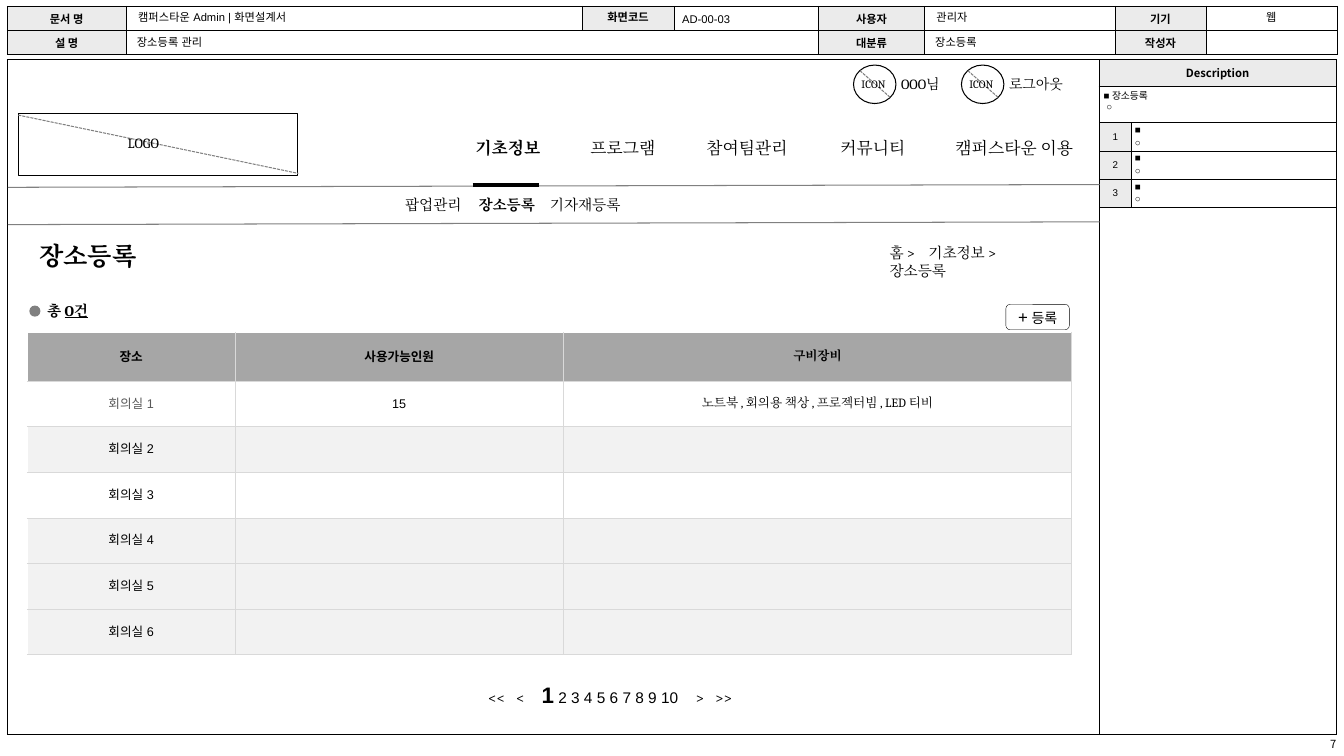
from dataclasses import dataclass
from typing import NamedTuple

from lxml import etree
from pptx import Presentation
from pptx import util as u
from pptx.dml import color as col
from pptx.enum import dml, shapes, text as te
from pptx.oxml import ns


@dataclass(frozen=True)
class Theme:
    black: str = "000000"
    gray: str = "808080"
    white: str = "FFFFFF"
    label: str = "EBEBEB"
    head: str = "A6A6A6"
    band: str = "F2F2F2"
    rule: str = "D9D9D9"
    dim: str = "595959"
    sans: str = "Arial"
    serif: str = "Cambria"
    korean: str = "Noto Sans CJK KR"
    note: float = 7
    small: float = 8
    cell: float = 9
    body: float = 10
    sub: float = 10.5
    page: float = 11
    menu: float = 12
    big: float = 16
    title: float = 18


class Box(NamedTuple):
    x: float
    y: float
    w: float
    h: float


class Label(NamedTuple):
    text: str
    box: Box
    size: float
    font: str = "Cambria"
    bold: bool = False


class Line(NamedTuple):
    x1: float
    y1: float
    x2: float
    y2: float
    color: str = "808080"
    width: float = 0.75
    dash: bool = False


T = Theme()
LEFT, MID, RIGHT = te.PP_ALIGN.LEFT, te.PP_ALIGN.CENTER, te.PP_ALIGN.RIGHT
PAD = (0.25, 0.13, 0.25, 0.13)
EVEN = (0.1, 0.1, 0.1, 0.1)
THIN = (0.03, 0.03, 0.03, 0.03)

prs = Presentation()
prs.slide_width, prs.slide_height = u.Cm(33.87), u.Cm(19.05)
slide = prs.slides.add_slide(prs.slide_layouts[6])


def rgb(code: str) -> col.RGBColor:
    return col.RGBColor.from_string(code)


def write(frame, text: str, *, size: float, font: str = T.serif, bold: bool = False,
          color: str = T.black, under: bool = False, align=LEFT, gap: float = 0,
          tabs: tuple = (), more: bool = False) -> None:
    """Write one paragraph per line; with more, extend the last paragraph."""
    for i, part in enumerate(text.split("\n")):
        para = frame.add_paragraph() if i else frame.paragraphs[-1]
        if not more:
            para.alignment = align
        if i and gap:
            para.space_before = u.Pt(gap)
        if tabs:
            stops = etree.SubElement(para._p.get_or_add_pPr(), ns.qn("a:tabLst"))
            for pos in tabs:
                etree.SubElement(stops, ns.qn("a:tab"), pos=str(u.Cm(pos)), algn="l")
        if not part:
            etree.SubElement(para._p, ns.qn("a:endParaRPr"), sz=str(int(size * 100)))
            continue
        for j, piece in enumerate(part.split("\v")):
            if j:
                para.add_line_break()
            run = para.add_run()
            run.text = piece
            face = run.font
            face.size, face.name, face.bold = u.Pt(size), font, bold
            face.underline = under or None
            face.color.rgb = rgb(color)
            etree.SubElement(run._r.get_or_add_rPr(), ns.qn("a:ea"), typeface=font)


def inset(item, pads: tuple) -> None:
    (item.margin_left, item.margin_top,
     item.margin_right, item.margin_bottom) = map(u.Cm, pads)


def area(box: Box, pads: tuple = PAD):
    frame = slide.shapes.add_textbox(*map(u.Cm, box)).text_frame
    frame.word_wrap = True
    inset(frame, pads)
    return frame


def label(item: Label) -> None:
    write(area(item.box), item.text, size=item.size, font=item.font, bold=item.bold)


def line(item: Line) -> None:
    ends = map(u.Cm, item[:4])
    link = slide.shapes.add_connector(shapes.MSO_CONNECTOR.STRAIGHT, *ends)
    link.line.color.rgb, link.line.width = rgb(item.color), u.Pt(item.width)
    if item.dash:
        link.line.dash_style = dml.MSO_LINE.SQUARE_DOT
    etree.SubElement(link._element.spPr, ns.qn("a:effectLst"))


def shape(kind, box: Box, fill: str = "", edge: float = 0):
    item = slide.shapes.add_shape(kind, *map(u.Cm, box))
    item.shadow.inherit = False
    for paint, code in ((item.fill, fill), (item.line.fill, T.black if edge else "")):
        if code:
            paint.solid()
            paint.fore_color.rgb = rgb(code)
        else:
            paint.background()
    if edge:
        item.line.width = u.Pt(edge)
    return item


def grid(x: float, y: float, cols: list, rows: list):
    box = map(u.Cm, (x, y, sum(cols), sum(rows)))
    table = slide.shapes.add_table(len(rows), len(cols), *box).table
    table.first_row = table.horz_banding = False
    for part, size in [*zip(table.columns, cols)]:
        part.width = u.Cm(size)
    for part, size in [*zip(table.rows, rows)]:
        part.height = u.Cm(size)
    return table


def cell(item, text: str = "", *, fill: str = T.white, edge: str = T.black,
         sides: str = "LRTB", pads: tuple = EVEN, top: bool = False, **fmt) -> None:
    props = item._tc.get_or_add_tcPr()
    for side in sides:
        rim = etree.SubElement(props, ns.qn("a:ln" + side), w=str(u.Pt(0.25)))
        paint = etree.SubElement(rim, ns.qn("a:solidFill"))
        etree.SubElement(paint, ns.qn("a:srgbClr"), val=edge)
    if fill:
        item.fill.solid()
        item.fill.fore_color.rgb = rgb(fill)
    else:
        item.fill.background()
    inset(item, pads)
    item.vertical_anchor = te.MSO_ANCHOR.TOP if top else te.MSO_ANCHOR.MIDDLE
    write(item.text_frame, text, **fmt)


# Page number
write(area(Box(27.69, 18.44, 5.99, 0.61), (0.25, 0.13, 0, 0.13)), "7",
      size=T.small, font=T.korean, align=RIGHT)

# Document header
info = grid(0.18, 0.15, [3, 11.48, 2.34, 3.63, 2.67, 4.8, 2.29, 3.3], [0.61] * 2)
HEADS = [["문서 명", "캠퍼스타운 Admin | 화면설계서", "화면코드", "", "사용자", "관리자", "기기", "웹"],
         ["설 명", "", "", "", "대분류", "", "작성자", ""]]
for r, names in enumerate(HEADS):
    for c, name in enumerate(names):
        key = c % 2 == 0 and name != ""
        cell(info.cell(r, c), name, fill=T.label if key else T.white, bold=key,
             pads=THIN if key or c == 7 else (0.3, 0.03, 0.03, 0.03), size=T.small,
             font=T.korean if key and name != "화면코드" else T.sans,
             align=MID if key or c == 7 else LEFT)
info.cell(1, 1).merge(info.cell(1, 3))

# Page frame with the description column
frame = grid(0.18, 1.5, [27.51, 5.99], [0.66, 16.33])
for r, names in enumerate([["", "Description"], ["", ""]]):
    for c, name in enumerate(names):
        cell(frame.cell(r, c), name, fill=T.label if name else T.white,
             size=T.small, font=T.korean, bold=True, align=MID)
frame.cell(0, 0).merge(frame.cell(1, 0))

# Description notes
notes = grid(27.71, 2.18, [0.79, 5.18], [0.91] + [0.71] * 3)
cell(notes.cell(0, 0), "■ 장소등록\n○", top=True, pads=(0.1, 0.1, 0.03, 0.03),
     size=T.note, font=T.sans)
notes.cell(0, 0).text_frame.paragraphs[1]._p.get_or_add_pPr().set("marL", str(u.Cm(0.07)))
cell(notes.cell(0, 1), size=T.note)
notes.cell(0, 0).merge(notes.cell(0, 1))
for r in range(1, 4):
    cell(notes.cell(r, 0), str(r), fill=T.label, pads=THIN, size=T.note,
         font=T.sans, align=MID)
    cell(notes.cell(r, 1), "■\n○", pads=(0.1, 0.03, 0.1, 0.03), size=T.note,
         font=T.sans, gap=1.4)

# Room table
rooms = grid(0.69, 8.38, [5.23, 8.28, 12.8], [1.22] + [1.15] * 6)
ROWS = [["장소", "사용가능인원", "구비장비"],
        ["회의실 1", "15", "노트북 , 회의용 책상 , 프로젝터빔 , LED 티비"]]
ROWS += [[f"회의실 {n}", "", ""] for n in range(2, 7)]
for r, names in enumerate(ROWS):
    fill = T.head if r == 0 else "" if r in (1, 3) else T.band
    for c, name in enumerate(names):
        cell(rooms.cell(r, c), name, fill=fill, edge=T.rule, pads=PAD,
             sides=("L" if c else "") + "R" + ("T" if r else "") + "B",
             size=T.cell, font=T.serif if c == 2 else T.sans, bold=r == 0,
             color=T.dim if (r, c) == (1, 0) else T.black, align=MID)

# Room count and register button
shape(shapes.MSO_SHAPE.FLOWCHART_CONNECTOR, Box(0.74, 7.7, 0.28, 0.28), fill=T.gray)
count = area(Box(0.94, 7.47, 2.01, 0.71))
write(count, "총 ", size=T.sub, bold=True)
write(count, "O건", size=T.sub, bold=True, under=True, more=True)
button = shape(shapes.MSO_SHAPE.ROUNDED_RECTANGLE, Box(25.35, 7.67, 1.6, 0.64), edge=0.25)
add = button.text_frame
inset(add, EVEN)
add.vertical_anchor = te.MSO_ANCHOR.MIDDLE
write(add, "+", size=T.menu, font=T.sans, align=MID)
write(add, " 등록", size=T.body, font=T.sans, more=True)

# Pager
pager = area(Box(11.51, 17.04, 7.75, 0.94), (0.79, 0.13, 0.25, 0.13))
write(pager, "<<\t<\t", size=T.page, tabs=(0.71, 1.35, 5.23, 5.72))
write(pager, "1", size=T.big, font=T.sans, bold=True, more=True)
write(pager, " 2 3 4 5 6 7 8 9 10\t", size=T.page, font=T.sans, more=True)
write(pager, ">\t>>", size=T.page, more=True)

# User icons and logo frame
for x, name in ((21.51, "OOO님"), (24.23, "로그아웃")):
    shape(shapes.MSO_SHAPE.OVAL, Box(x, 1.64, 1.07, 0.97), edge=0.75)
    line(Line(x + 0.16, 1.78, x + 0.92, 2.45, dash=True))
    label(Label("ICON", Box(x - 0.05, 1.83, 1.19, 0.61), T.small))
    label(Label(name, Box(x + 0.95, 1.78, 1.93, 0.69), T.body))
shape(shapes.MSO_SHAPE.RECTANGLE, Box(0.46, 2.87, 7.04, 1.55), edge=0.75)

# Diagonal of the logo frame and menu rules
for item in (Line(0.46, 2.9, 7.52, 4.37, dash=True), Line(0.2, 4.72, 27.71, 4.65),
             Line(11.91, 4.67, 13.59, 4.67, T.black, 3), Line(0.2, 5.66, 27.71, 5.59)):
    line(item)

# Header values, menus and title
LABELS = [Label("장소등록 관리", Box(3.2, 0.76, 17.35, 0.58), T.small, T.sans),
          Label("AD-00-03", Box(16.94, 0.18, 3.63, 0.58), T.small, T.sans),
          Label("장소등록", Box(23.32, 0.76, 1.65, 0.61), T.small, T.sans),
          Label("LOGO", Box(2.97, 3.25, 1.6, 0.69), T.body),
          Label("장소등록", Box(0.74, 5.92, 4.72, 1.02), T.title, bold=True)]
LABELS += [Label(name, Box(x, 4.8, w, 0.71), T.sub, bold=name == "장소등록") for name, x, w in
           (("팝업관리", 9.96, 2.08), ("장소등록", 11.81, 2.01), ("기자재등록", 13.61, 2.39))]
LABELS += [Label(name, Box(x, 3.35, w, 0.76), T.menu, bold=name == "기초정보") for name, x, w in
           (("기초정보", 11.73, 2.39), ("프로그램", 14.63, 2.39), ("참여팀관리", 17.55, 2.84),
            ("커뮤니티", 20.93, 2.39), ("캠퍼스타운 이용", 23.83, 3.61))]
for item in LABELS:
    label(item)

# Breadcrumb
write(area(Box(22.17, 6.02, 4.78, 0.71)), "홈 >\t기초정보 >\v장소등록", size=T.sub, tabs=(0.98,))

prs.save("out.pptx")
